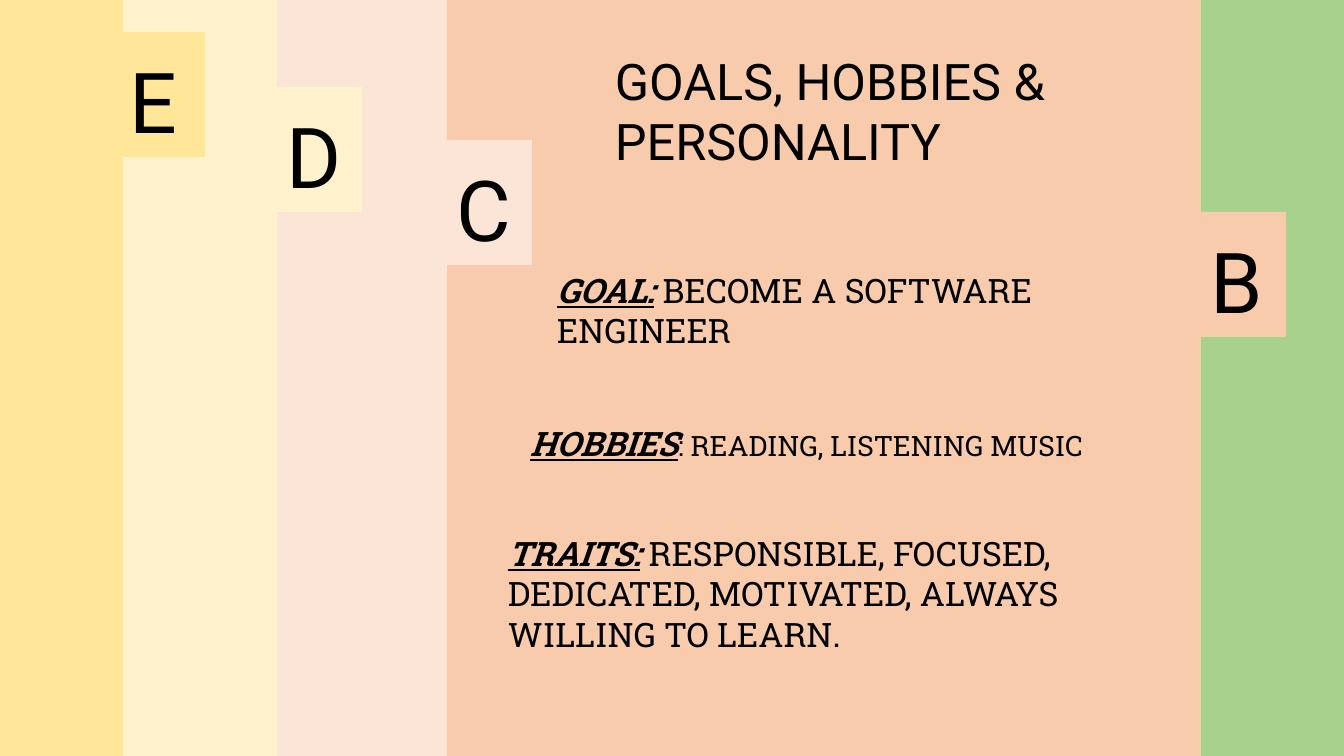
"""Build the goals, hobbies and personality slide with lettered index tabs."""
import pptx
import pptx.dml.color
import pptx.enum.shapes
import pptx.util

PX = 12192000 / 1344
WIDTH, HEIGHT = 1344, 756
TAB_W, TAB_H = 85, 125
LETTER_W, LETTER_H, LETTER_DROP = 80, 112, 13

COLORS = {"back": "A9D18E", "B": "F8CBAD", "C": "FBE5D6", "D": "FFF2CC",
          "E": "FFE699", "text": "000000"}

BANDS = [
    ("B", 1201, 1201, 212),
    ("C", 447, 447, 140),
    ("D", 277, 277, 87),
    ("E", 123, 120, 32),
]

LETTER = {"name": "Roboto", "size": 60}
TITLE = {"name": "Roboto", "size": 36}
LABEL = {"name": "Roboto Slab", "size": 24, "bold": True, "italic": True, "underline": True}
BODY = {"name": "Roboto Slab", "size": 24}
SMALL = {"name": "Roboto Slab", "size": 20}

TEXTS = [
    ((605, 45, 526, 132), [("GOALS, HOBBIES & PERSONALITY", TITLE)]),
    ((547, 265, 585, 92), [("GOAL:", LABEL), (" BECOME A SOFTWARE ENGINEER", BODY)]),
    ((520, 418, 709, 50), [("HOBBIES", LABEL), (": READING, LISTENING MUSIC", SMALL)]),
    ((498, 528, 654, 132), [
        ("TRAITS:", LABEL),
        (" RESPONSIBLE, FOCUSED, DEDICATED, MOTIVATED, ALWAYS WILLING TO LEARN.", BODY)]),
]


def px(*lengths):
    return [pptx.util.Emu(round(n * PX)) for n in lengths]


def rgb(key):
    return pptx.dml.color.RGBColor.from_string(COLORS[key])


def add_block(s, box, color):
    sp = s.shapes.add_shape(pptx.enum.shapes.MSO_SHAPE.RECTANGLE, *px(*box))
    sp.shadow.inherit = False
    sp.fill.solid()
    sp.fill.fore_color.rgb = rgb(color)
    sp.line.fill.background()


def add_text(s, box, runs):
    tf = s.shapes.add_textbox(*px(*box)).text_frame
    tf.word_wrap = True
    p = tf.paragraphs[0]
    for text, style in runs:
        r = p.add_run()
        r.text = text
        r.font.color.rgb = rgb("text")
        for key, value in style.items():
            setattr(r.font, key, pptx.util.Pt(value) if key == "size" else value)


def main():
    prs = pptx.Presentation()
    prs.slide_width, prs.slide_height = px(WIDTH, HEIGHT)
    s = prs.slides.add_slide(prs.slide_layouts[6])
    s.background.fill.solid()
    s.background.fill.fore_color.rgb = rgb("back")
    for letter, edge, tab_x, tab_y in BANDS:
        add_block(s, (0, 0, edge, HEIGHT), letter)
        add_block(s, (tab_x, tab_y, TAB_W, TAB_H), letter)
        add_text(s, (tab_x, tab_y + LETTER_DROP, LETTER_W, LETTER_H), [(letter, LETTER)])
    for box, runs in TEXTS:
        add_text(s, box, runs)
    prs.save("out.pptx")


if __name__ == "__main__":
    main()
